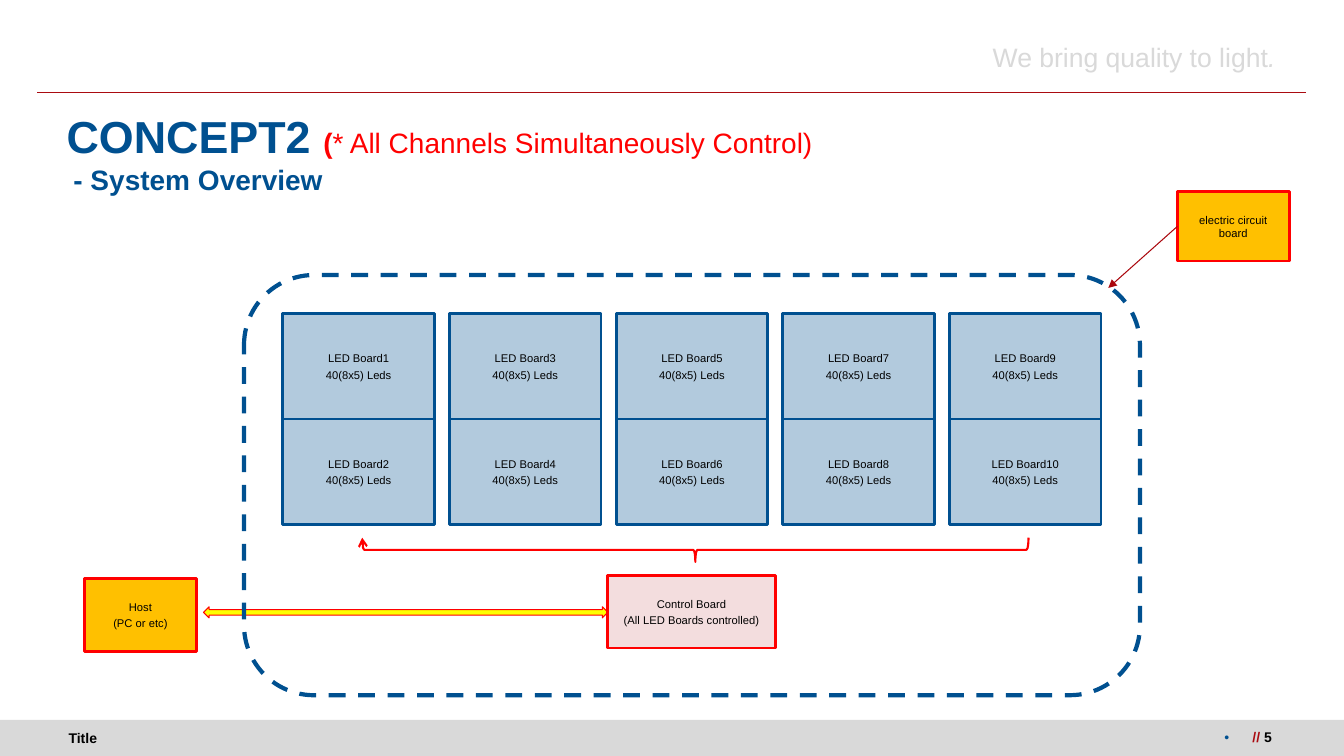
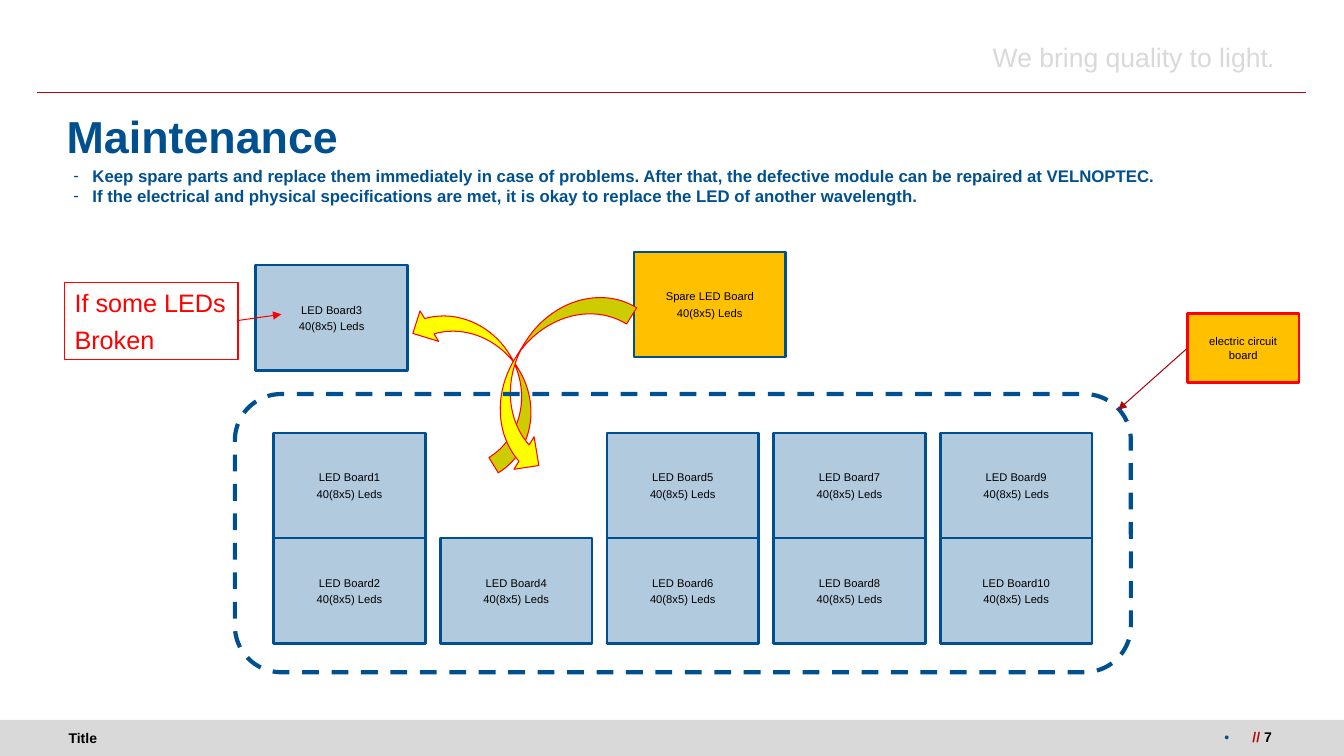
"""Build two slides on an LED board system: its overview and its maintenance."""
import lxml.etree
import pptx
import pptx.dml.color
import pptx.enum.dml
import pptx.enum.shapes
import pptx.enum.text
import pptx.oxml.ns
import pptx.util

Cm = pptx.util.Cm
Pt = pptx.util.Pt
qn = pptx.oxml.ns.qn
PRESET = pptx.enum.shapes.MSO_SHAPE
ALIGN = pptx.enum.text.PP_ALIGN
ANCHOR = pptx.enum.text.MSO_ANCHOR
COLORS = {
    "blue": "005090",
    "board": "B2CADD",
    "red": "FF0000",
    "rule": "AA0B11",
    "pointer": "AA070D",
    "amber": "FFC000",
    "yellow": "FFFF00",
    "pink": "F3DDDE",
    "gray": "D9D9D9",
    "black": "000000",
}
RGB = {name: pptx.dml.color.RGBColor.from_string(value) for name, value in COLORS.items()}
BOARD_WIDTH, BOARD_HEIGHT, COLUMN_STEP = 3.82, 2.65, 4.2
FRAME_MARGIN = 0.98
CALLOUT_WIDTH, CALLOUT_HEIGHT = 2.82, 1.75


def draw(slide, preset, box, fill=None, line=None, weight=0.75, rotation=0):
    """Add a preset shape, or a text box when preset is None."""
    lengths = [Cm(value) for value in box]
    if preset is None:
        return slide.shapes.add_textbox(*lengths)
    shape = slide.shapes.add_shape(preset, *lengths)
    shape.shadow.inherit = False
    shape.rotation = rotation
    if fill:
        shape.fill.solid()
        shape.fill.fore_color.rgb = RGB[fill]
    else:
        shape.fill.background()
    if line:
        shape.line.color.rgb = RGB[line]
        shape.line.width = Pt(weight)
    else:
        shape.line.fill.background()
    return shape


def write(shape, *paragraphs, size=8, color="black", bold=False, align=ALIGN.CENTER,
          anchor=ANCHOR.MIDDLE, inset=(0.25, 0.13), left_inset=None, space=2,
          bullet=None, hang=0.48, wrap=True):
    """Fill a shape with paragraphs, each a string or a list of (text, changes)."""
    frame = shape.text_frame
    frame.word_wrap = wrap
    frame.vertical_anchor = anchor
    frame.margin_left = Cm(inset[0] if left_inset is None else left_inset)
    frame.margin_right = Cm(inset[0])
    frame.margin_top = frame.margin_bottom = Cm(inset[1])
    for index, runs in enumerate(paragraphs):
        paragraph = frame.add_paragraph() if index else frame.paragraphs[0]
        paragraph.alignment = align
        if index:
            paragraph.space_before = Pt(space)
        if bullet:
            properties = paragraph._p.get_or_add_pPr()
            properties.set("marL", str(Cm(hang)))
            properties.set("indent", str(-Cm(hang)))
            bullet_color = lxml.etree.SubElement(properties, qn("a:buClr"))
            lxml.etree.SubElement(bullet_color, qn("a:srgbClr"), val=COLORS["blue"])
            lxml.etree.SubElement(properties, qn("a:buFont"), typeface="Arial")
            lxml.etree.SubElement(properties, qn("a:buChar"), char=bullet)
        for text, changes in [(runs, {})] if isinstance(runs, str) else runs:
            run = paragraph.add_run()
            run.text = text
            run.font.name = "Arial"
            run.font.size = Pt(changes.get("size", size))
            run.font.bold = changes.get("bold", bold)
            run.font.italic = changes.get("italic", False)
            run.font.color.rgb = RGB[changes.get("color", color)]


presentation = pptx.Presentation()
presentation.slide_width = Cm(33.87)
presentation.slide_height = Cm(19.05)
text_box = {"inset": (0.33, 0.18), "align": ALIGN.LEFT}
slides = []
connectors = []
arrows = []

titles = [
    ("5", [
        ("CONCEPT2 ", {}),
        ("(", {"size": 20, "color": "red"}),
        ("* All Channels Simultaneously Control)", {"size": 20, "color": "red", "bold": False}),
    ]),
    ("7", "Maintenance"),
]
for number, title in titles:
    slide = presentation.slides.add_slide(presentation.slide_layouts[6])
    slides.append(slide)
    draw(slide, PRESET.RECTANGLE, (0, 18.14, 33.87, 0.91), fill="gray")
    connectors.append((slide, (0.94, 2.34), (32.92, 2.34), "rule", None))
    write(draw(slide, None, (1.65, 18.14, 12.27, 0.91)), "Title",
          size=10, bold=True, left_inset=0.08, **text_box)
    write(draw(slide, None, (23.34, 0.84, 9.32, 1.14)),
          [("We bring quality to light", {}), (". ", {"italic": True})],
          size=19, color="gray", align=ALIGN.RIGHT, anchor=ANCHOR.TOP, inset=(0.33, 0.18))
    write(draw(slide, None, (1.35, 2.51, 31.04, 1.8)), title,
          size=32, color="blue", bold=True, **text_box)
    write(draw(slide, None, (27.33, 18.19, 5.05, 0.94)),
          [(" // ", {"color": "rule"}), (number, {})], size=10, bold=True,
          align=ALIGN.RIGHT, anchor=ANCHOR.TOP, inset=(0.33, 0.18), bullet="•", hang=0.61)
overview, maintenance = slides

write(draw(overview, None, (1.52, 3.61, 31.04, 1.8)), "- System Overview",
      size=20, color="blue", bold=True, **text_box)
host = draw(overview, PRESET.RECTANGLE, (2.13, 14.58, 2.82, 1.83), "amber", "red", 2)
write(host, "Host", "(PC or etc)")
draw(overview, PRESET.LEFT_RIGHT_ARROW, (5.13, 15.29, 10.19, 0.28), "yellow", "red")
control = draw(overview, PRESET.RECTANGLE, (15.32, 14.5, 4.22, 1.83), "pink", "red", 2)
write(control, "Control Board", "(All LED Boards controlled)")
brace = draw(overview, PRESET.LEFT_BRACE, (17.22, 5.46, 0.61, 16.79),
             line="red", weight=1.5, rotation=270)
arrows.append((brace, "arrow"))

write(draw(maintenance, None, (1.52, 3.78, 31.04, 1.8)),
      "Keep spare parts and replace them immediately in case of problems. "
      "After that, the defective module can be repaired at VELNOPTEC.",
      "If the electrical and physical specifications are met, "
      "it is okay to replace the LED of another wavelength.",
      size=12, color="blue", bold=True, space=0, bullet="-", **text_box)
spare = draw(maintenance, PRESET.RECTANGLE, (15.98, 6.35, BOARD_WIDTH, BOARD_HEIGHT),
             "amber", "blue", 2)
write(spare, "Spare LED Board", "40(8x5) Leds")
for box, rotation in [((11.23, 7.21, 1.8, 4.57), 148.5), ((12.9, 6.86, 1.93, 5.16), 31.8)]:
    draw(maintenance, PRESET.CURVED_RIGHT_ARROW, box, "yellow", "red", rotation=rotation)
note = draw(maintenance, PRESET.RECTANGLE, (1.63, 7.11, 4.37, 1.96), line="red")
write(note, "If some LEDs", "Broken", size=18, color="red", align=ALIGN.LEFT, space=5, wrap=False)
connectors.append((maintenance, (5.97, 8.08), (7.09, 7.92), "red", "triangle"))

systems = [
    (overview, (6.15, 6.93, 22.58, 10.59), (29.67, 4.83), {}),
    (maintenance, (5.92, 9.93, 22.58, 7.01), (29.92, 7.9), {3: (6.45, 6.68)}),
]
for slide, frame_box, callout_corner, moved_boards in systems:
    for index in range(10):
        column, row = divmod(index, 2)
        place = (frame_box[0] + FRAME_MARGIN + column * COLUMN_STEP,
                 frame_box[1] + FRAME_MARGIN + row * BOARD_HEIGHT)
        left, top = moved_boards.get(index + 1, place)
        board = draw(slide, PRESET.RECTANGLE, (left, top, BOARD_WIDTH, BOARD_HEIGHT),
                     "board", "blue", 2)
        write(board, f"LED Board{index + 1}", "40(8x5) Leds")
    frame = draw(slide, PRESET.ROUNDED_RECTANGLE, frame_box, line="blue", weight=3)
    frame.line.dash_style = pptx.enum.dml.MSO_LINE.DASH
    left, top = callout_corner
    callout = draw(slide, PRESET.RECTANGLE, (left, top, CALLOUT_WIDTH, CALLOUT_HEIGHT),
                   "amber", "red", 2)
    write(callout, "electric circuit board")
    middle = top + CALLOUT_HEIGHT / 2
    connectors.append((slide, (left, middle), (left - 1.74, middle + 1.55), "pointer", "triangle"))

for slide, start, end, color, head in connectors:
    connector = slide.shapes.add_connector(
        pptx.enum.shapes.MSO_CONNECTOR.STRAIGHT, *[Cm(value) for value in start + end])
    connector.line.color.rgb = RGB[color]
    connector.line.width = Pt(0.75)
    lxml.etree.SubElement(connector.element.spPr, qn("a:effectLst"))
    if head:
        arrows.append((connector, head))

for shape, head in arrows:
    outline = shape.element.spPr.find(qn("a:ln"))
    lxml.etree.SubElement(outline, qn("a:tailEnd"), type=head)

presentation.save("out.pptx")
